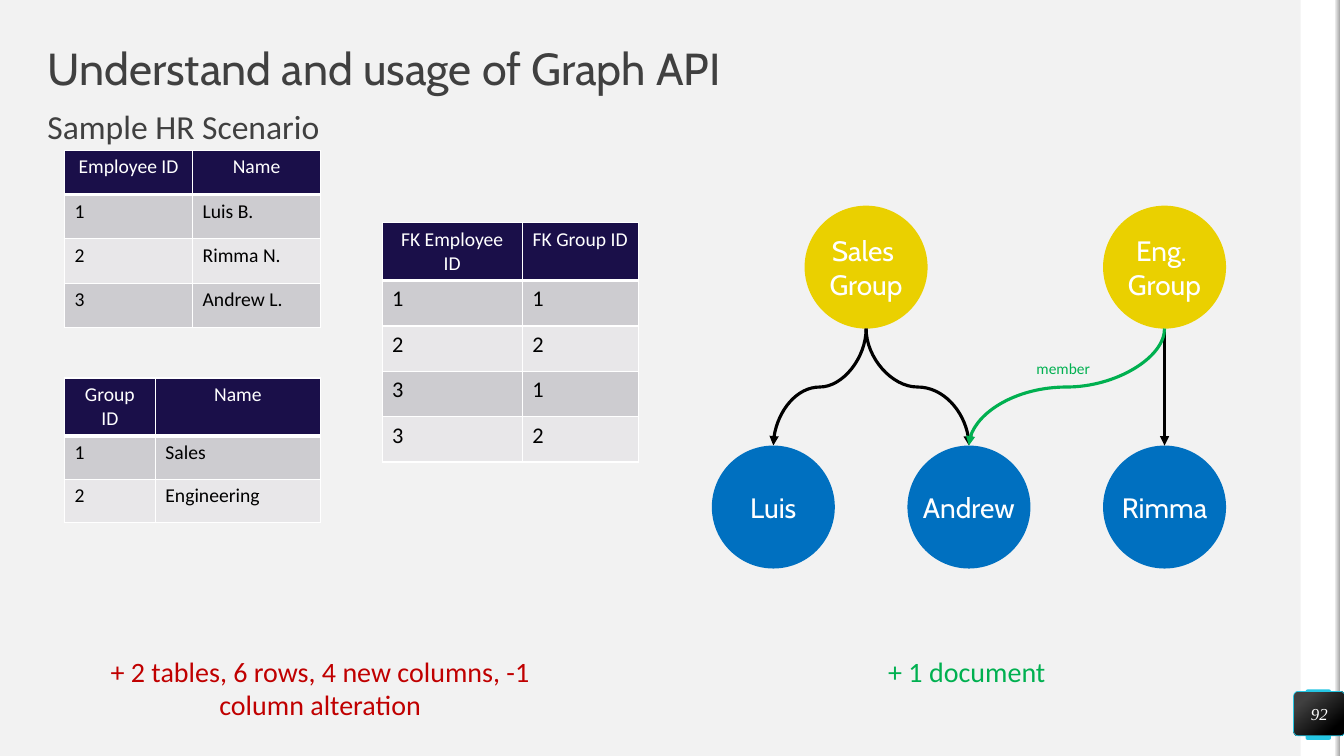
from dataclasses import dataclass

from lxml import etree
from pptx import Presentation
from pptx.dml.color import RGBColor
from pptx.enum.shapes import MSO_CONNECTOR, MSO_SHAPE
from pptx.enum.text import MSO_ANCHOR, MSO_AUTO_SIZE, PP_ALIGN
from pptx.oxml.ns import qn
from pptx.util import Inches, Pt

CENTER, LEFT = PP_ALIGN.CENTER, PP_ALIGN.LEFT
MIDDLE, TOP = MSO_ANCHOR.MIDDLE, MSO_ANCHOR.TOP
NO_FIT = MSO_AUTO_SIZE.NONE
RECT, ROUNDED, ELLIPSE = MSO_SHAPE.RECTANGLE, MSO_SHAPE.ROUNDED_RECTANGLE, MSO_SHAPE.OVAL
STRAIGHT, CURVE = MSO_CONNECTOR.STRAIGHT, MSO_CONNECTOR.CURVE


@dataclass(frozen=True)
class Theme:
    heading_font: str = "Cabin"
    body_font: str = "Calibri"
    number_font: str = "Times New Roman"
    background: str = "F2F2F2"
    white: str = "FFFFFF"
    black: str = "000000"
    dark: str = "404040"
    edge: str = "A6A6A6"
    accent: str = "25C6E3"
    header: str = "1A0F49"
    bands: tuple = ("CDCCD0", "E8E7E9")
    group: str = "EAD000"
    person: str = "0070C0"
    cost: str = "C00000"
    gain: str = "00B050"
    title_size: int = 32
    subtitle_size: int = 24
    label_size: int = 20
    key_size: int = 16
    cell_size: int = 14
    number_size: int = 12
    member_size: int = 11


THEME = Theme()

TITLE = "Understand and usage of Graph API"
SUBTITLE = "Sample HR Scenario"
PAGE_NUMBER = "92"
# left, top, column widths, row heights, body text size, rows
TABLES = [
    (0.64, 1.49, (1.27, 1.27), (0.44,) * 4, THEME.cell_size,
     [("Employee ID", "Name"), ("1", "Luis B."), ("2", "Rimma N."), ("3", "Andrew L.")]),
    (3.79, 2.21, (1.39, 1.15), (0.56,) + (0.45,) * 4, THEME.key_size,
     [("FK Employee ID", "FK Group ID"), ("1", "1"), ("2", "2"), ("3", "1"), ("3", "2")]),
    (0.64, 3.75, (0.9, 1.64), (0.56, 0.43, 0.43), THEME.cell_size,
     [("Group ID", "Name"), ("1", "Sales"), ("2", "Engineering")]),
]
NODE_SIZE, GROUP_TOP, PERSON_TOP = 1.22, 2.04, 4.42
# key: left, top, colour, label lines
NODES = {
    "sales": (7.98, GROUP_TOP, THEME.group, ["Sales ", "Group"]),
    "eng": (10.94, GROUP_TOP, THEME.group, ["Eng. ", "Group"]),
    "luis": (7.06, PERSON_TOP, THEME.person, ["Luis"]),
    "andrew": (9, PERSON_TOP, THEME.person, ["Andrew"]),
    "rimma": (10.94, PERSON_TOP, THEME.person, ["Rimma"]),
}
MEMBERSHIPS = [
    ("sales", "luis", THEME.black),
    ("sales", "andrew", THEME.black),
    ("eng", "rimma", THEME.black),
    ("eng", "andrew", THEME.gain),
]
# box, text, size, colour, alignment, wraps
CAPTIONS = [
    ((1.03, 6.49, 4.29, 0.67), "+ 2 tables, 6 rows, 4 new columns, -1 column alteration",
     THEME.label_size, THEME.cost, CENTER, True),
    ((8.81, 6.49, 1.76, 0.34), "+ 1 document", THEME.label_size, THEME.gain, LEFT, False),
    ((10.28, 3.56, 0.57, 0.19), "member", THEME.member_size, THEME.gain, LEFT, False),
]


def rgb(color):
    return RGBColor.from_string(color)


def write(paragraph, text, size, color, font=THEME.body_font, align=LEFT, italic=False):
    paragraph.alignment = align
    run = paragraph.add_run()
    run.text = text
    run.font.name, run.font.size = font, Pt(size)
    run.font.bold, run.font.italic = False, italic
    run.font.color.rgb = rgb(color)


def prepare_frame(frame, anchor=TOP, wrap=True):
    frame.margin_left = frame.margin_top = frame.margin_right = frame.margin_bottom = 0
    frame.auto_size, frame.word_wrap, frame.vertical_anchor = NO_FIT, wrap, anchor


def add_shape(slide, kind, box, color):
    shape = slide.shapes.add_shape(kind, *map(Inches, box))
    shape.shadow.inherit = False
    shape.fill.solid()
    shape.fill.fore_color.rgb = rgb(color)
    shape.line.fill.background()
    return shape


def set_gradient(shape, angle, *stops):
    """Fill with two (position, colour) stops; the angle runs counter-clockwise."""
    shape.fill.gradient()
    shape.fill.gradient_angle = angle
    for stop, (position, color) in zip(shape.fill.gradient_stops, stops):
        stop.position, stop.color.rgb = position, rgb(color)


def add_frame(slide):
    slide.background.fill.solid()
    slide.background.fill.fore_color.rgb = rgb(THEME.background)
    add_shape(slide, RECT, (12.9, 0, 0.43, 7.5), THEME.white)
    tab = add_shape(slide, ROUNDED, (12.95, 6.84, 0.25, 0.5), THEME.accent)
    tab.adjustments[0] = 0.07
    strip = add_shape(slide, RECT, (13.24, 0, 0.05, 7.5), THEME.background)
    set_gradient(strip, 0, (0, THEME.background), (1, THEME.edge))
    badge = add_shape(slide, ROUNDED, (12.83, 6.86, 0.51, 0.44), THEME.dark)
    badge.adjustments[0] = 0.1
    set_gradient(badge, 310, (0.2, THEME.dark), (0.82, THEME.black))
    badge.line.color.rgb, badge.line.width = rgb(THEME.accent), Pt(0.5)
    prepare_frame(badge.text_frame, MIDDLE)
    write(badge.text_frame.paragraphs[0], PAGE_NUMBER, THEME.number_size, THEME.white,
          THEME.number_font, CENTER, italic=True)


def fill_placeholder(placeholder, box, text, size, font, anchor):
    placeholder.left, placeholder.top, placeholder.width, placeholder.height = map(Inches, box)
    prepare_frame(placeholder.text_frame, anchor)
    paragraph = placeholder.text_frame.paragraphs[0]
    properties = paragraph._p.get_or_add_pPr()
    properties.set("marL", "0")
    properties.set("indent", "0")
    etree.SubElement(properties, qn("a:buNone"))
    paragraph.line_spacing, paragraph.space_before = 0.9, Pt(0)
    write(paragraph, text, size, THEME.dark, font)


def set_borders(cell, bottom):
    properties = cell._tc.get_or_add_tcPr()
    for index, (side, width) in enumerate((("L", 1), ("R", 1), ("T", 1), ("B", bottom))):
        line = etree.Element(qn(f"a:ln{side}"), w=str(Pt(width)))
        solid = etree.SubElement(line, qn("a:solidFill"))
        etree.SubElement(solid, qn("a:srgbClr"), val=THEME.white)
        properties.insert(index, line)


def add_data_table(slide, left, top, widths, heights, body_size, rows):
    box = map(Inches, (left, top, sum(widths), sum(heights)))
    table = slide.shapes.add_table(len(rows), len(widths), *box).table
    table.horz_banding = False
    for column, width in zip(table.columns, widths):
        column.width = Inches(width)
    for r, (values, height) in enumerate(zip(rows, heights)):
        table.rows[r].height = Inches(height)
        is_header = r == 0
        for c, value in enumerate(values):
            cell = table.cell(r, c)
            cell.fill.solid()
            cell.fill.fore_color.rgb = rgb(THEME.header if is_header else THEME.bands[(r - 1) % 2])
            set_borders(cell, 3 if is_header else 1)
            write(cell.text_frame.paragraphs[0], value,
                  THEME.cell_size if is_header else body_size,
                  THEME.white if is_header else THEME.black,
                  align=CENTER if is_header else LEFT)


def add_node(slide, left, top, color, lines):
    node = add_shape(slide, ELLIPSE, (left, top, NODE_SIZE, NODE_SIZE), color)
    frame = node.text_frame
    prepare_frame(frame, MIDDLE, wrap=False)
    for i, line in enumerate(lines):
        paragraph = frame.add_paragraph() if i else frame.paragraphs[0]
        write(paragraph, line, THEME.label_size, THEME.white, THEME.heading_font, CENTER)


def add_membership(slide, group, person, color):
    """Arrow from the bottom of a group to the top of a person; curves leave vertically."""
    x1, x2 = (NODES[key][0] + NODE_SIZE / 2 for key in (group, person))
    y1, y2 = GROUP_TOP + NODE_SIZE, PERSON_TOP
    kind, ends, turn = STRAIGHT, (x1, y1, x2, y2), 0
    if x1 != x2:
        # A curve is laid out sideways about its centre, then turned upright.
        turn = 90 if x2 < x1 else 270
        reach = (y2 - y1) / 2 * (1 if turn == 90 else -1)
        rise = abs(x2 - x1) / 2
        x, y = (x1 + x2) / 2, (y1 + y2) / 2
        kind, ends = CURVE, (x - reach, y - rise, x + reach, y + rise)
    arrow = slide.shapes.add_connector(kind, *map(Inches, ends))
    arrow.line.color.rgb, arrow.line.width = rgb(color), Pt(2.25)
    properties = arrow._element.spPr
    if turn:
        properties.find(qn("a:xfrm")).set("rot", str(turn * 60000))
    etree.SubElement(properties.find(qn("a:ln")), qn("a:tailEnd"), type="triangle")
    etree.SubElement(properties, qn("a:effectLst"))


def add_caption(slide, box, text, size, color, align, wraps):
    frame = slide.shapes.add_textbox(*map(Inches, box)).text_frame
    prepare_frame(frame, wrap=wraps)
    write(frame.paragraphs[0], text, size, color, align=align)


def main():
    deck = Presentation()
    deck.slide_width, deck.slide_height = Inches(13.33), Inches(7.5)
    slide = deck.slides.add_slide(deck.slide_layouts[1])
    add_frame(slide)
    fill_placeholder(slide.shapes.title, (0.47, 0.47, 12.39, 0.47), TITLE,
                     THEME.title_size, THEME.heading_font, MIDDLE)
    fill_placeholder(slide.placeholders[1], (0.47, 1.1, 12.4, 0.39), SUBTITLE,
                     THEME.subtitle_size, THEME.body_font, TOP)
    for table in TABLES:
        add_data_table(slide, *table)
    for node in NODES.values():
        add_node(slide, *node)
    for membership in MEMBERSHIPS:
        add_membership(slide, *membership)
    for caption in CAPTIONS:
        add_caption(slide, *caption)
    deck.save("out.pptx")


if __name__ == "__main__":
    main()
